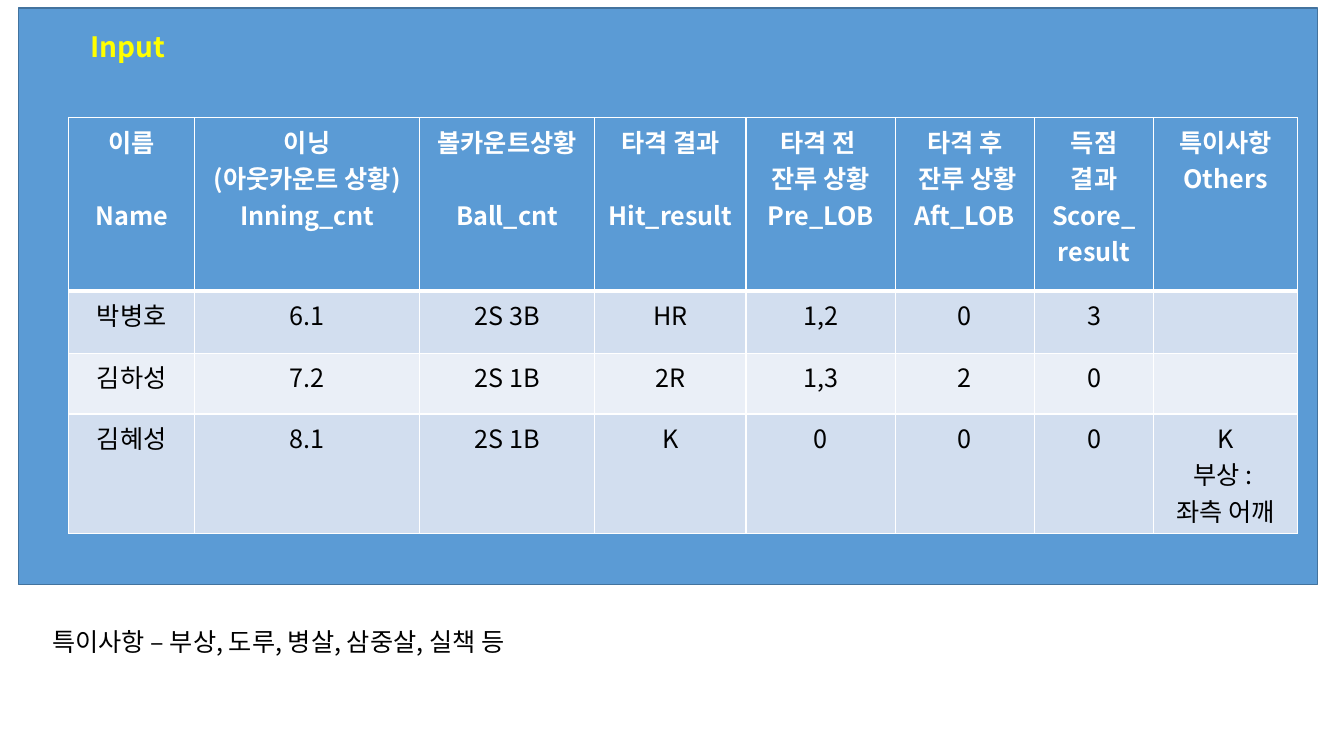
from lxml import etree
from pptx import Presentation
from pptx.dml.color import RGBColor
from pptx.enum.shapes import MSO_SHAPE
from pptx.enum.text import PP_ALIGN
from pptx.oxml.ns import qn
from pptx.util import Cm, Pt

RECTANGLE = MSO_SHAPE.RECTANGLE
CENTER = PP_ALIGN.CENTER
FONT = "Noto Sans CJK KR"
BLUE, WHITE, BLACK, YELLOW = "5B9BD5", "FFFFFF", "000000", "FFFF00"
OUTLINE = "43739E"
BANDS = ["D2DEEF", "EAEFF7"]
HEADER_GAP = Pt(26)

COLUMN_WIDTHS = [3.18, 5.66, 4.42, 3.81, 3.76, 3.51, 3, 3.63]
ROW_HEIGHTS = [4.37, 1.57, 1.52, 3.02]
HEADERS = ["이름\nName", "이닝\n(아웃카운트 상황)\nInning_cnt", "볼카운트상황\nBall_cnt",
           "타격 결과\nHit_result", "타격 전 \n잔루 상황\nPre_LOB",
           "타격 후\n 잔루 상황\nAft_LOB", "득점\n결과\nScore_\nresult", "특이사항\nOthers"]
SPACED_COLUMNS = {0, 2, 3}
RECORDS = [
    ["박병호", "6.1", "2S 3B", "HR", "1,2", "0", "3", ""],
    ["김하성", "7.2", "2S 1B", "2R", "1,3", "2", "0", ""],
    ["김혜성", "8.1", "2S 1B", "K", "0", "0", "0", "K\n부상 : \n좌측 어깨"],
]


def color(value):
    return RGBColor.from_string(value)


def write(frame, text, size, ink, bold=False, align=None):
    frame.text = text
    for para in frame.paragraphs:
        para.alignment = align
        para.font.size = Pt(size)
        for span in para.runs:
            span.font.size = Pt(size)
            span.font.name = FONT
            span.font.bold = bold
            span.font.color.rgb = color(ink)
            east_asian = etree.SubElement(span.font._element, qn("a:ea"))
            east_asian.set("typeface", FONT)


def add_border(cell, side, width):
    properties = cell._tc.get_or_add_tcPr()
    line = etree.SubElement(properties, qn(f"a:ln{side}"), w=str(Pt(width)))
    fill = etree.SubElement(line, qn("a:solidFill"))
    etree.SubElement(fill, qn("a:srgbClr"), val=WHITE)


def add_label(page, box, text, size, ink, bold=False):
    label = page.shapes.add_textbox(*map(Cm, box))
    label.text_frame.word_wrap = True
    write(label.text_frame, text, size, ink, bold)


def add_records_table(page, left, top):
    frame = page.shapes.add_table(len(ROW_HEIGHTS), len(COLUMN_WIDTHS), Cm(left), Cm(top),
                                  Cm(sum(COLUMN_WIDTHS)), Cm(sum(ROW_HEIGHTS)))
    table = frame.table
    for column, width in zip(table.columns, COLUMN_WIDTHS):
        column.width = Cm(width)
    for row, height in zip(table.rows, ROW_HEIGHTS):
        row.height = Cm(height)
    for row_index, texts in enumerate([HEADERS] + RECORDS):
        is_header = row_index == 0
        background = BLUE if is_header else BANDS[(row_index - 1) % 2]
        widths = {"L": 1, "R": 1, "T": 3 if row_index == 1 else 1, "B": 3 if is_header else 1}
        for column_index, text in enumerate(texts):
            cell = table.cell(row_index, column_index)
            for side, width in widths.items():
                add_border(cell, side, width)
            cell.fill.solid()
            cell.fill.fore_color.rgb = color(background)
            write(cell.text_frame, text, 18, WHITE if is_header else BLACK, is_header, CENTER)
            if is_header and column_index in SPACED_COLUMNS:
                cell.text_frame.paragraphs[-1].space_before = HEADER_GAP


def add_input_panel(page, left, top, width, height):
    panel = page.shapes.add_shape(RECTANGLE, *map(Cm, (left, top, width, height)))
    panel.shadow.inherit = False
    panel.fill.solid()
    panel.fill.fore_color.rgb = color(BLUE)
    panel.line.color.rgb = color(OUTLINE)
    panel.line.width = Pt(1)
    add_records_table(page, left + 1.27, top + 2.77)
    add_label(page, (left + 1.57, top + 0.41, 9.93, 1.12), "Input", 20, YELLOW, True)


deck = Presentation()
deck.slide_width, deck.slide_height = Cm(33.87), Cm(19.05)
page = deck.slides.add_slide(deck.slide_layouts[6])
add_input_panel(page, 0.46, 0.2, 32.74, 14.53)
add_label(page, (1.07, 15.65, 14.66, 1.02), "특이사항 – 부상, 도루, 병살, 삼중살, 실책 등", 18, BLACK)
deck.save("out.pptx")
